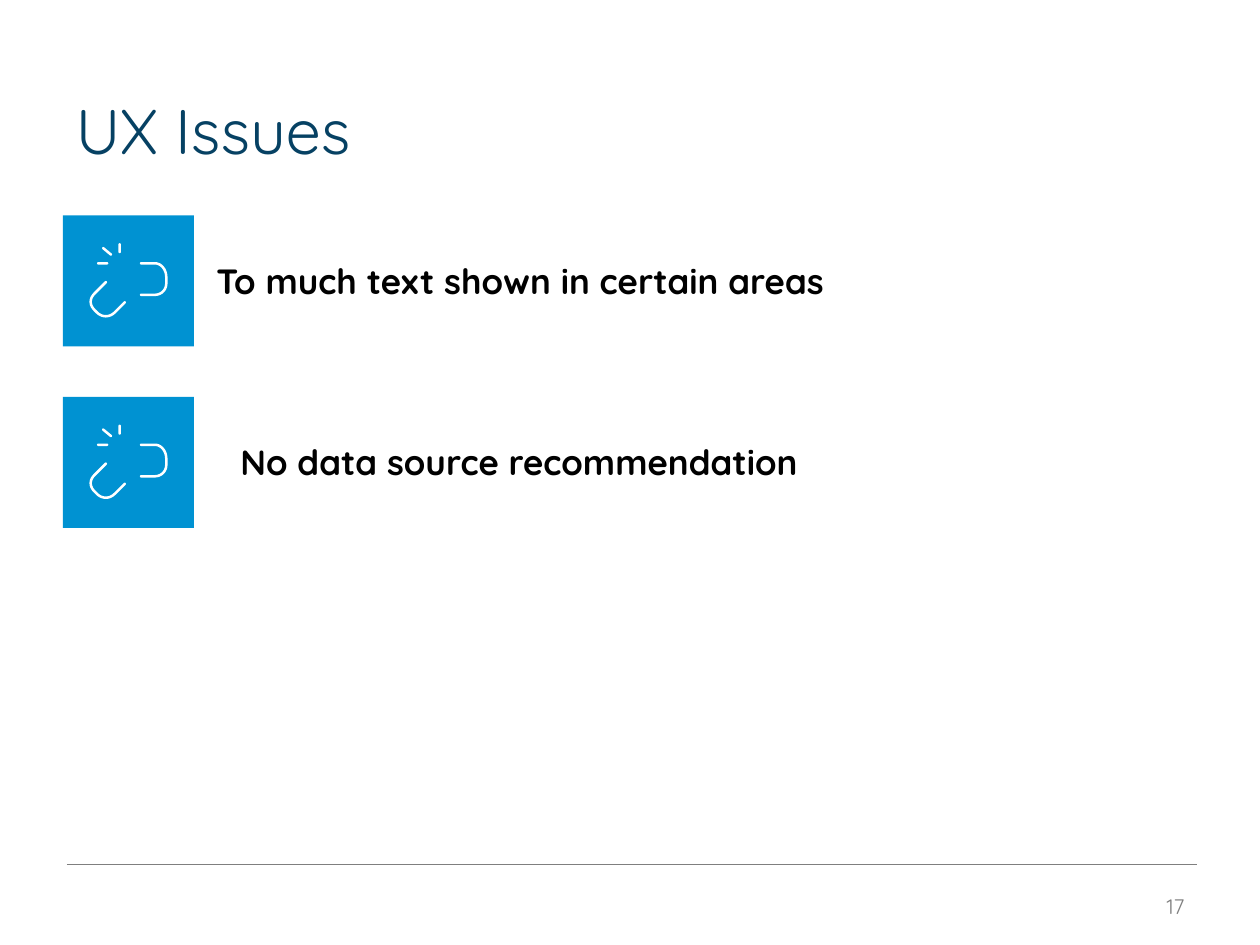
from math import atan2, cos, pi, sin

from lxml.etree import SubElement
from pptx import Presentation
from pptx.dml.color import RGBColor
from pptx.enum.shapes import MSO_CONNECTOR as Connector, MSO_SHAPE as Preset
from pptx.enum.text import MSO_ANCHOR as Anchor, MSO_AUTO_SIZE as AutoSize, PP_ALIGN as Align
from pptx.oxml.ns import qn
from pptx.util import Inches, Pt

FONT = "Quicksand"
NAVY = RGBColor(0x06, 0x41, 0x63)
BLUE = RGBColor(0x00, 0x92, 0xD2)
GRAY = RGBColor(0x7F, 0x7F, 0x7F)
BLACK = RGBColor(0, 0, 0)
WHITE = RGBColor(255, 255, 255)

TILE_SIZE = 1.04
TEXT_HEIGHT = 0.44
HALF_STROKE = 0.01
ISSUES = [
    ("To much text shown in certain areas", 1.71, 1.62, 5.26),
    ("No data source recommendation", 3.15, 1.81, 4.93),
]


def write_text(frame, text, size, color, bold=False, align=Align.LEFT, anchor=Anchor.TOP,
               auto_size=AutoSize.NONE):
    frame.word_wrap = True
    frame.auto_size = auto_size
    frame.vertical_anchor = anchor
    paragraph = frame.paragraphs[0]
    paragraph.alignment = align
    run = paragraph.add_run()
    run.text = text
    run.font.name = FONT
    run.font.size = Pt(size)
    run.font.bold = bold
    run.font.color.rgb = color


def fill_plain(shape, color):
    shape.shadow.inherit = False
    shape.fill.solid()
    shape.fill.fore_color.rgb = color
    shape.line.fill.background()


def curve(start, control_1, control_2, end, steps=10):
    points = []
    for step in range(steps + 1):
        t = step / steps
        weights = ((1 - t) ** 3, 3 * t * (1 - t) ** 2, 3 * t * t * (1 - t), t ** 3)
        anchors = (start, control_1, control_2, end)
        points.append(tuple(sum(w * a[axis] for w, a in zip(weights, anchors)) for axis in (0, 1)))
    return points


def stroke_outline(points):
    def side(path):
        outline = []
        for index, (x, y) in enumerate(path):
            before = path[max(index - 1, 0)]
            after = path[min(index + 1, len(path) - 1)]
            angle = atan2(after[1] - before[1], after[0] - before[0]) - pi / 2
            turns = range(5) if index == len(path) - 1 else range(1)
            outline += [(x + HALF_STROKE * cos(angle + turn * pi / 4),
                         y + HALF_STROKE * sin(angle + turn * pi / 4)) for turn in turns]
        return outline

    return side(points) + side(points[::-1])


def broken_link_strokes():
    rays = [
        [(0.32, 0.26), (0.38, 0.31)],
        [(0.45, 0.23), (0.45, 0.29)],
        [(0.28, 0.38), (0.35, 0.38)],
    ]
    left_link = [
        (0.34, 0.53),
        *curve((0.25, 0.62), (0.21, 0.66), (0.21, 0.71), (0.25, 0.75)),
        *curve((0.27, 0.77), (0.31, 0.81), (0.37, 0.81), (0.41, 0.77)),
        (0.49, 0.69),
    ]
    right_link = [
        (0.62, 0.38),
        *curve((0.73, 0.38), (0.78, 0.38), (0.82, 0.43), (0.82, 0.49)),
        *curve((0.82, 0.54), (0.82, 0.59), (0.78, 0.63), (0.73, 0.63)),
        (0.62, 0.63),
    ]
    return [*rays, left_link, right_link]


def add_broken_link_tile(slide, left, top):
    group = slide.shapes.add_group_shape()
    tile = group.shapes.add_shape(Preset.RECTANGLE, Inches(left), Inches(top),
                                  Inches(TILE_SIZE), Inches(TILE_SIZE))
    fill_plain(tile, BLUE)
    builder = group.shapes.build_freeform()
    for stroke in broken_link_strokes():
        outline = [(Inches(left + x), Inches(top + y)) for x, y in stroke_outline(stroke)]
        builder.move_to(*outline[0])
        builder.add_line_segments(outline[1:], close=True)
    start = stroke_outline(broken_link_strokes()[0])[0]
    builder._start_x, builder._start_y = Inches(left + start[0]), Inches(top + start[1])
    fill_plain(builder.convert_to_shape(), WHITE)


def add_issue(slide, text, left, top, text_left, text_width):
    text_top = top + (TILE_SIZE - TEXT_HEIGHT) / 2
    box = slide.shapes.add_textbox(Inches(text_left), Inches(text_top),
                                   Inches(text_width), Inches(TEXT_HEIGHT))
    write_text(box.text_frame, text, 20, BLACK, bold=True, auto_size=AutoSize.SHAPE_TO_FIT_TEXT)
    add_broken_link_tile(slide, left, top)


def add_title(slide, text, left, top, width, height):
    title = slide.shapes.title
    title.left, title.top = Inches(left), Inches(top)
    title.width, title.height = Inches(width), Inches(height)
    write_text(title.text_frame, text, 36, NAVY, anchor=Anchor.BOTTOM)


def add_footer(slide, number, left, top, right):
    rule = slide.shapes.add_connector(Connector.STRAIGHT, Inches(left), Inches(top),
                                      Inches(right), Inches(top))
    rule.line.color.rgb = GRAY
    rule.line.width = Pt(0.25)
    SubElement(rule._element.spPr, qn("a:effectLst"))
    box = slide.shapes.add_textbox(Inches(right - 1.07), Inches(top + 0.13),
                                   Inches(1.07), Inches(0.4))
    write_text(box.text_frame, number, 12, GRAY, align=Align.RIGHT, anchor=Anchor.MIDDLE)


def main():
    presentation = Presentation()
    presentation.slide_width = Inches(10)
    presentation.slide_height = Inches(7.5)
    slide = presentation.slides.add_slide(presentation.slide_layouts[5])
    add_title(slide, "UX Issues", 0.5, 0.3, 9, 1.08)
    add_footer(slide, "17", 0.53, 6.86, 9.5)
    for text, top, text_left, text_width in ISSUES:
        add_issue(slide, text, 0.5, top, text_left, text_width)
    presentation.save("out.pptx")


if __name__ == "__main__":
    main()
